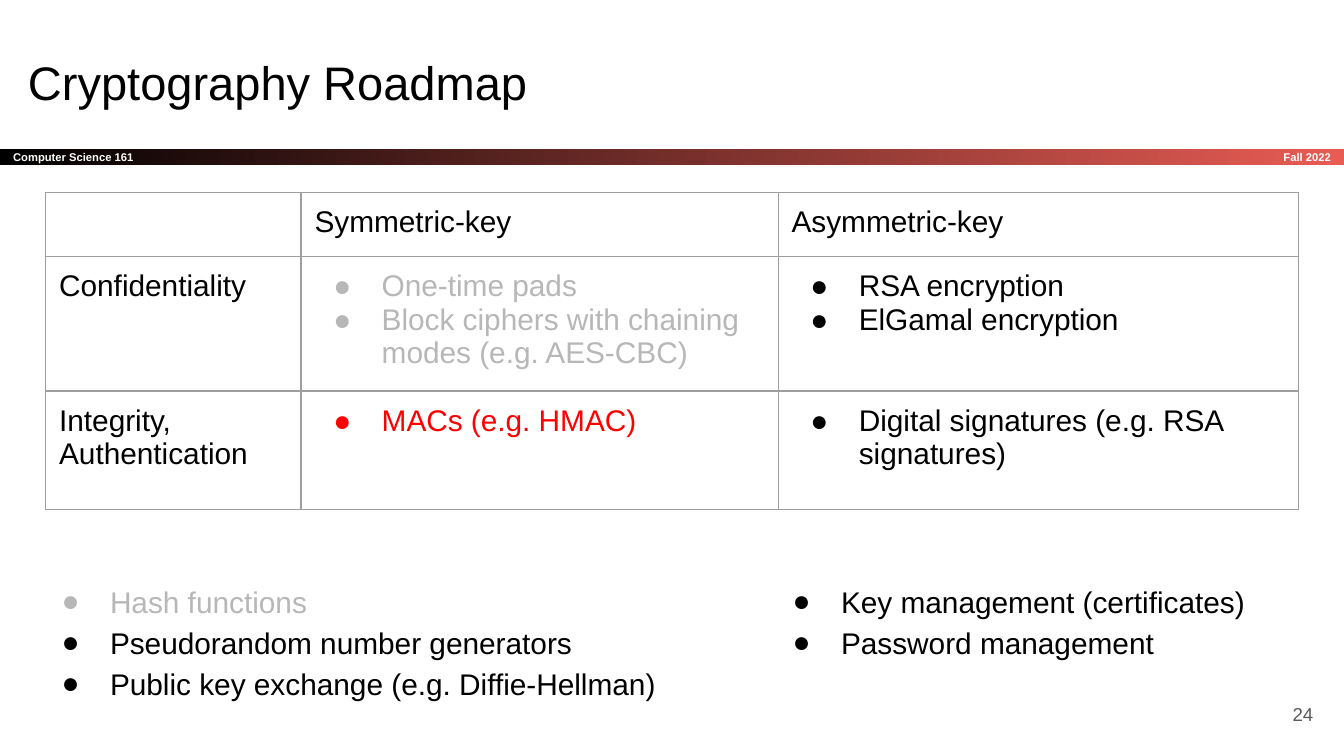
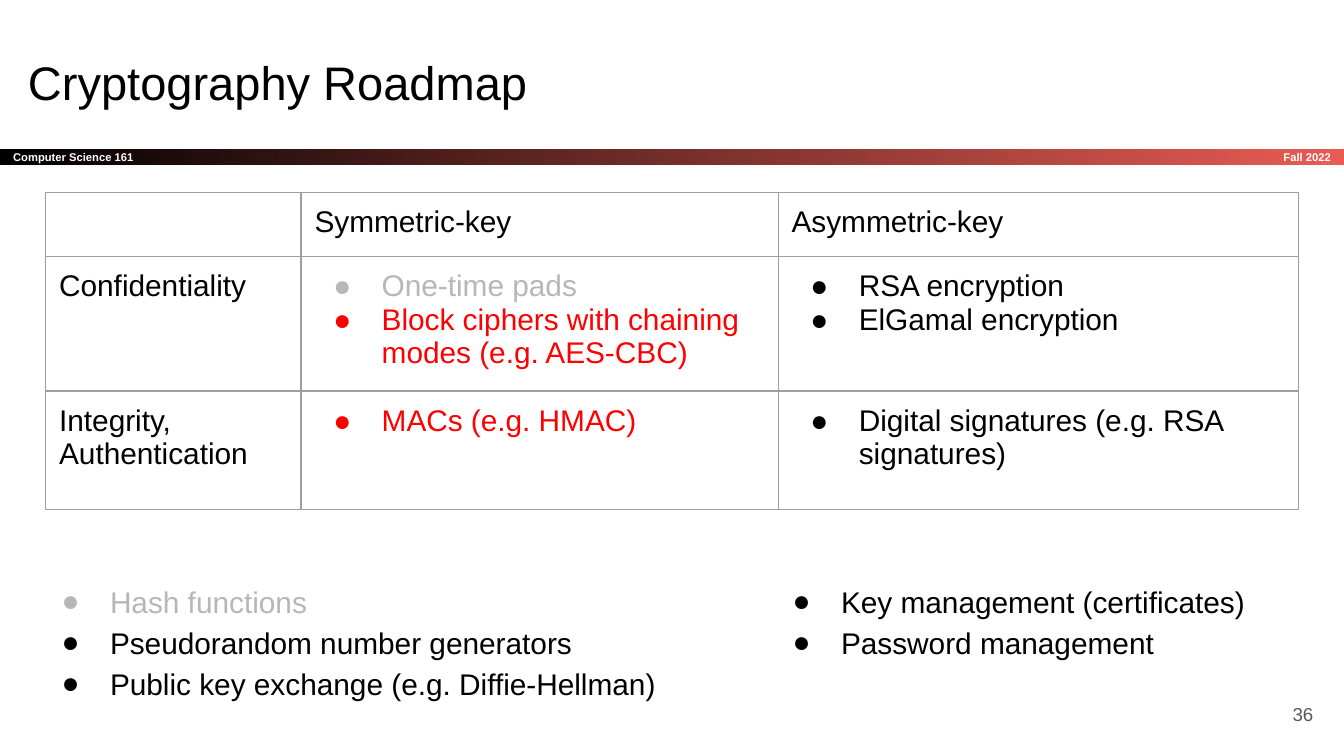
from lxml import etree
from pptx import Presentation, util as u
from pptx.dml.color import RGBColor
from pptx.enum import shapes, text
from pptx.oxml.ns import qn

BLACK, GREY, RED, WHITE = "000000", "B7B7B7", "FF0000", "FFFFFF"
EDGE, CORAL, NOTE = "9E9E9E", "E85C54", "595959"
MID, RIGHT = text.MSO_ANCHOR.MIDDLE, text.PP_ALIGN.RIGHT


def rgb(code):
    return RGBColor.from_string(code)


def write(box, items, size=16, dots=False, gap=None, bold=False, align=text.PP_ALIGN.LEFT):
    """Fill a shape, text box or cell with (text, colour) paragraphs."""
    frame = box.text_frame
    frame.word_wrap = True
    inset = box if hasattr(box, "margin_left") else frame
    inset.margin_left = inset.margin_right = u.Inches(0.1)
    inset.margin_top = inset.margin_bottom = u.Inches(0.1)
    for i, (words, color) in enumerate(items):
        para = frame.paragraphs[0] if i == 0 else frame.add_paragraph()
        para.text = words
        para.alignment = align
        if gap:
            para.line_spacing = gap
        if dots:
            props = para._p.get_or_add_pPr()
            props.set("marL", str(u.Inches(0.5)))
            props.set("indent", str(u.Inches(-0.36)))
            tint = etree.SubElement(props, qn("a:buClr"))
            etree.SubElement(tint, qn("a:srgbClr"), val=color)
            etree.SubElement(props, qn("a:buFont"), typeface="Arial")
            etree.SubElement(props, qn("a:buChar"), char="●")
        for run in para.runs:
            run.font.name = "Arial"
            run.font.size = u.Pt(size)
            run.font.bold = bold
            run.font.color.rgb = rgb(color)
        # Line breaks and paragraph ends take the same size
        points = str(int(size * 100))
        for br in para._p.findall(qn("a:br")):
            etree.SubElement(br, qn("a:rPr"), sz=points)
        end = etree.SubElement(para._p, qn("a:endParaRPr"), sz=points)
        etree.SubElement(end, qn("a:latin"), typeface="Arial")


prs = Presentation()
prs.slide_width = u.Inches(10)
prs.slide_height = prs.slide_width * 9 // 16

# Page number and colour of the block cipher line on each slide
for page, cipher in (("24", GREY), ("36", RED)):
    slide = prs.slides.add_slide(prs.slide_layouts[6])

    # Band
    band = slide.shapes.add_shape(shapes.MSO_SHAPE.RECTANGLE, 0, u.Inches(1.11),
                                  u.Inches(10), u.Inches(0.12))
    band.shadow.inherit = False
    band.line.fill.background()
    band.fill.gradient()
    band.fill.gradient_angle = 0
    for stop, color in zip(band.fill.gradient_stops, (BLACK, CORAL)):
        stop.color.rgb = rgb(color)
    band.text_frame.vertical_anchor = MID
    write(band, [("Computer Science 161", WHITE)], 6, bold=True)

    # Term, title, lists and page number
    lower = [("Hash functions", GREY), ("Pseudorandom number generators", BLACK),
             ("Public key exchange (e.g. Diffie-Hellman)", BLACK)]
    upkeep = [("Key management (certificates)", BLACK), ("Password management", BLACK)]
    bullet = dict(dots=True, gap=1.15)
    for place, items, anchor, style in (
            ((8.34, 1.11, 1.66, 0.12), [("Fall 2022", WHITE)], MID,
             dict(size=6, bold=True, align=RIGHT)),
            ((0.11, 0.3, 9.32, 0.63), [("Cryptography Roadmap", BLACK)], None, dict(size=25.2)),
            ((0.22, 4.2, 4.78, 1.28), lower, None, bullet),
            ((5.66, 4.2, 3.77, 0.78), upkeep, None, bullet),
            ((9.27, 5.1, 0.6, 0.43), [(page, NOTE)], MID, dict(size=10, align=RIGHT))):
        box = slide.shapes.add_textbox(*map(u.Inches, place))
        box.text_frame.vertical_anchor = anchor
        write(box, items, **style)

    # Table: a plain string is a heading, a list holds bullets
    rows = [
        ["", "Symmetric-key", "Asymmetric-key"],
        ["Confidentiality",
         [("One-time pads", GREY),
          ("Block ciphers with chaining modes (e.g. AES-CBC)", cipher)],
         [("RSA encryption", BLACK), ("ElGamal encryption", BLACK)]],
        ["Integrity,\nAuthentication",
         [("MACs (e.g. HMAC)", RED)],
         [("Digital signatures (e.g. RSA signatures)", BLACK)]],
    ]
    wide, tall = (1.9, 3.55, 3.87), (0.48, 0.88, 0.88)
    grid = slide.shapes.add_table(3, 3, u.Inches(0.34), u.Inches(1.43),
                                  u.Inches(sum(wide)), u.Inches(sum(tall))).table
    grid.first_row = grid.horz_banding = False
    for i in range(3):
        grid.columns[i].width = u.Inches(wide[i])
        grid.rows[i].height = u.Inches(tall[i])
    for r, row in enumerate(rows):
        for c, entry in enumerate(row):
            cell = grid.cell(r, c)
            props = cell._tc.get_or_add_tcPr()
            for side in ("lnL", "lnR", "lnT", "lnB"):
                line = etree.SubElement(props, qn("a:" + side), w=str(u.Pt(0.75)))
                paint = etree.SubElement(line, qn("a:solidFill"))
                etree.SubElement(paint, qn("a:srgbClr"), val=EDGE)
            cell.fill.background()
            if isinstance(entry, str):
                write(cell, [(entry, BLACK)])
            else:
                write(cell, entry, dots=True)

prs.save("out.pptx")
